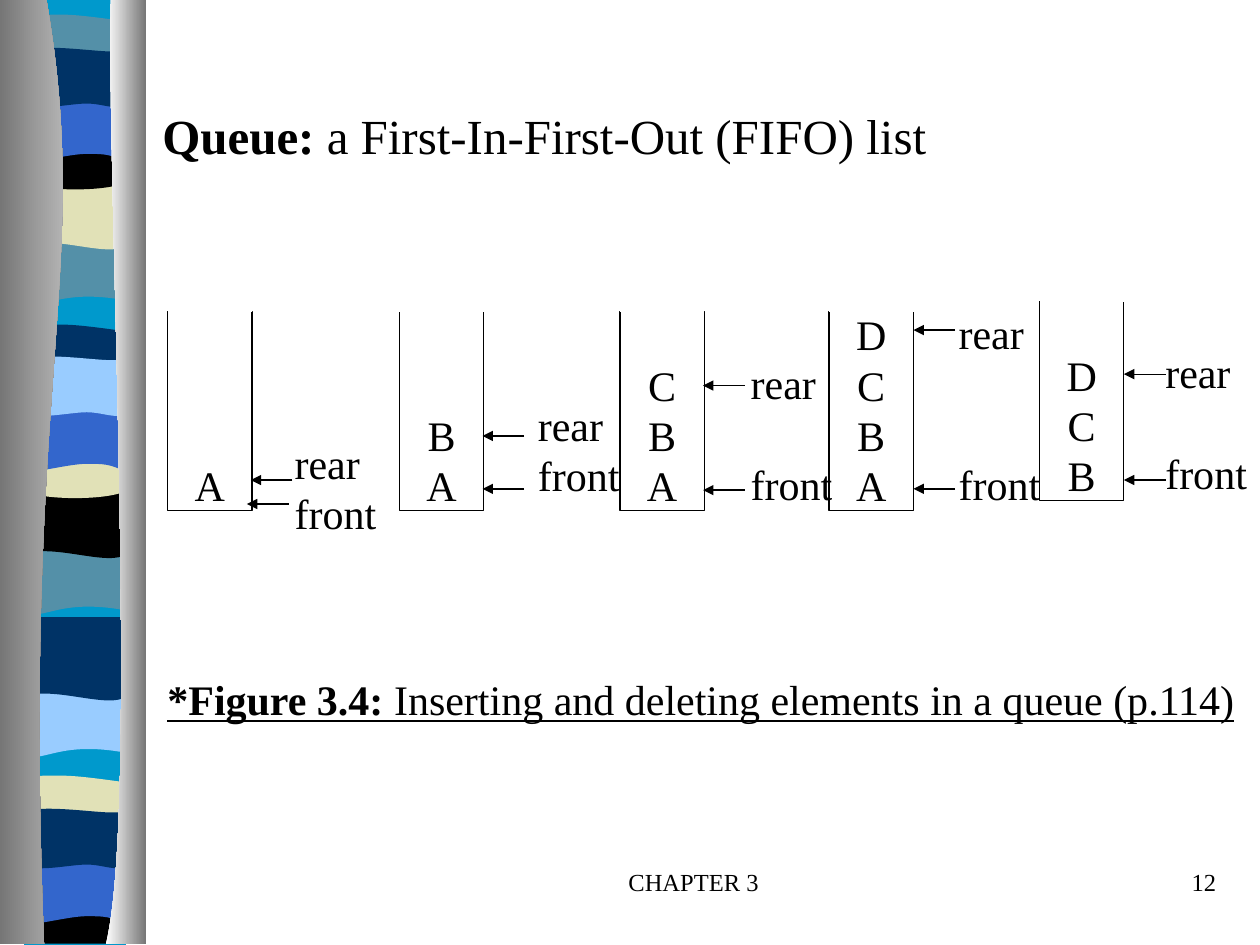
"""Build the slide on a first-in-first-out queue, with a striped ribbon at its left."""
from typing import NamedTuple

from lxml.etree import SubElement
from pptx import Presentation
from pptx.dml.color import RGBColor
from pptx.enum.shapes import MSO_CONNECTOR, MSO_SHAPE
from pptx.enum.text import MSO_ANCHOR, PP_ALIGN
from pptx.oxml.ns import qn
from pptx.util import Emu, Pt

PX = 9144
FONT = "Times New Roman"
LINE_RATIO = 1.2
BAND_STRETCH = 4 / 3
BOX_WIDTH, BOX_HEIGHT, ARROW_LENGTH = 67, 158, 33
PAGE_WIDTH, PAGE_HEIGHT = 1000, 750

BLACK = RGBColor(0x00, 0x00, 0x00)
WHITE = RGBColor(0xFF, 0xFF, 0xFF)
GRAY = RGBColor(0x76, 0x76, 0x76)
SILVER = RGBColor(0xD2, 0xD2, 0xD2)
CYAN = RGBColor(0x00, 0x99, 0xCC)
TEAL = RGBColor(0x54, 0x90, 0xA8)
CREAM = RGBColor(0xE1, 0xE1, 0xB7)
BLUE = RGBColor(0x33, 0x66, 0xCC)
NAVY = RGBColor(0x00, 0x33, 0x66)
SKY = RGBColor(0x99, 0xCC, 0xFF)

Outline = tuple[tuple[int, ...], ...]

BACKDROP: Outline = ((100, 0), (100, 750), (19, 750), (19, 0))
SWELL: Outline = ((114, 0), (114, 47), (39, 39, 24, 55, 5, 47), (5, 0))
DIP: Outline = ((114, 0), (114, 47), (96, 55, 39, 41, 6, 47), (6, 0))
CREST: Outline = ((114, 0), (114, 24), (96, 29, 24, 29, 5, 24), (5, 0),
                  (12, -5, 29, -4, 47, -4), (65, -4, 100, -1, 114, 0))
BOWL: Outline = ((114, 0), (114, 32), (96, 38, 24, 38, 5, 32), (5, 0),
                 (72, 5, 91, 0, 114, 0))
FOOT: Outline = ((114, 0), (114, 37), (5, 37), (5, 0), (72, 5, 91, 0, 114, 0))
ARCH: Outline = ((114, 0), (114, 47), (97, 42, 90, 42, 72, 42),
                 (54, 42, 22, 47, 5, 47), (5, 0))
SWAY: Outline = ((114, 0), (114, 31), (107, 36, 90, 31, 72, 31),
                 (54, 31, 17, 36, 5, 31), (5, 0), (21, -5, 79, 0, 97, 0))
LEFT_EDGE: Outline = ((37, 0), (74, 216, 17, 296, 35, 749), (0, 749), (0, 0))
RIGHT_EDGE: Outline = ((88, 0), (84, 125, 111, 646, 84, 749), (116, 749), (116, 0))


class Band(NamedTuple):
    outline: Outline
    top: int
    color: RGBColor


class Stage(NamedTuple):
    left: int
    top: int
    letters: str
    label_left: int
    label_top: int
    gap_lines: int
    arrow_tips: tuple[tuple[int, int], tuple[int, int]]


class Span(NamedTuple):
    text: str
    bold: bool = False
    underline: bool = False


BANDS = (
    Band(SWELL, 185, TEAL), Band(DIP, 141, CREAM), Band(CREST, 21, TEAL),
    Band(BOWL, 108, BLACK), Band(ARCH, 74, BLUE), Band(SWAY, 46, NAVY),
    Band(SWELL, 431, TEAL), Band(DIP, 386, BLACK), Band(CREST, 267, NAVY),
    Band(BOWL, 353, CREAM), Band(ARCH, 320, BLUE), Band(SWAY, 291, SKY),
    Band(SWELL, 544, SKY), Band(DIP, 499, NAVY), Band(CREST, 625, CREAM),
    Band(FOOT, 712, BLACK), Band(ARCH, 679, BLUE), Band(SWAY, 650, NAVY),
)

STAGES = (
    Stage(133, 247, "A", 224, 342, 0, ((199, 381), (196, 400))),
    Stage(317, 247, "BA", 417, 312, 0, ((383, 346), (383, 388))),
    Stage(492, 247, "CBA", 586, 279, 1, ((558, 306), (558, 389))),
    Stage(658, 247, "DCBA", 751, 239, 2, ((725, 262), (725, 388))),
    Stage(825, 239, "DCB", 915, 270, 1, ((892, 297), (892, 381))),
)


def px(value: float) -> Emu:
    """Turn a length in px into EMU."""
    return Emu(round(value * PX))


def draw_outline(page, outline: Outline, top: int, *colors: RGBColor):
    """Draw a closed outline in one color, or in two as a left-to-right gradient."""
    points = [(px(segment[i]), px(segment[i + 1] + top))
              for segment in outline for i in range(0, len(segment), 2)]
    builder = page.shapes.build_freeform(*points[0], scale=1.0)
    builder.add_line_segments(points[1:], close=True)
    shape = builder.convert_to_shape()
    straight = shape._element.iter(qn("a:lnTo"))
    steps = iter(list(straight))
    for segment in outline[1:]:
        step = next(steps)
        if len(segment) == 6:
            step.tag = qn("a:cubicBezTo")
            for extra in (next(steps), next(steps)):
                step.append(extra[0])
                extra.getparent().remove(extra)
    shape.shadow.inherit = False
    shape.line.fill.background()
    if len(colors) == 1:
        shape.fill.solid()
        shape.fill.fore_color.rgb = colors[0]
    else:
        shape.fill.gradient()
        shape.fill.gradient_angle = 0
        for stop, color in zip(shape.fill.gradient_stops, colors):
            stop.color.rgb = color
    return shape


def draw_band(page, band: Band) -> None:
    """Draw a band, made taller and narrower about its middle."""
    shape = draw_outline(page, band.outline, band.top, band.color)
    if band.outline is FOOT:
        return
    width, height = round(shape.width / BAND_STRETCH), round(shape.height * BAND_STRETCH)
    shape.left += (shape.width - width) // 2
    shape.top += (shape.height - height) // 2
    shape.width, shape.height = width, height


def format_paragraph(paragraph, size: int, align: PP_ALIGN) -> None:
    """Set the font, line height and alignment of a paragraph."""
    paragraph.alignment = align
    paragraph.line_spacing = Pt(size * LINE_RATIO)
    for run in paragraph.runs:
        run.font.name = FONT
        run.font.size = Pt(size)
        run.font.color.rgb = BLACK


def draw_text(page, left: int, top: int, width: int, height: int, spans: list[Span],
              size: int, align: PP_ALIGN = PP_ALIGN.LEFT) -> None:
    """Draw one line of text made of spans."""
    frame = page.shapes.add_textbox(px(left), px(top), px(width), px(height)).text_frame
    frame.word_wrap = True
    paragraph = frame.paragraphs[0]
    for span in spans:
        run = paragraph.add_run()
        run.text = span.text
        run.font.bold = span.bold
        run.font.underline = span.underline
    format_paragraph(paragraph, size, align)


def draw_line(page, start: tuple[int, int], end: tuple[int, int], color: RGBColor,
              arrow: bool = False) -> None:
    """Draw a thin straight line, with an arrowhead at its end if asked."""
    line = page.shapes.add_connector(MSO_CONNECTOR.STRAIGHT, *map(px, start + end))
    line.line.color.rgb = color
    line.line.width = Pt(0.75)
    if arrow:
        SubElement(line.line._get_or_add_ln(), qn("a:tailEnd"), type="triangle")
    SubElement(line._element.spPr, qn("a:effectLst"))


def draw_queue(page, stage: Stage) -> None:
    """Draw the box of a queue with its letters resting on the bottom."""
    box = page.shapes.add_shape(MSO_SHAPE.RECTANGLE, px(stage.left), px(stage.top),
                                px(BOX_WIDTH), px(BOX_HEIGHT))
    box.shadow.inherit = False
    box.fill.solid()
    box.fill.fore_color.rgb = WHITE
    box.line.color.rgb = BLACK
    box.line.width = Pt(0.75)
    frame = box.text_frame
    frame.word_wrap = False
    frame.vertical_anchor = MSO_ANCHOR.BOTTOM
    frame.margin_top = frame.margin_bottom = 0
    frame.text = "\n".join(stage.letters)
    for paragraph in frame.paragraphs:
        format_paragraph(paragraph, 24, PP_ALIGN.CENTER)


def draw_labels(page, stage: Stage) -> None:
    """Draw the rear and front labels beside a queue."""
    height = 10 + 40 * (2 + stage.gap_lines)
    frame = page.shapes.add_textbox(px(stage.label_left), px(stage.label_top),
                                    px(85), px(height)).text_frame
    frame.word_wrap = False
    frame.text = "rear\nfront"
    for paragraph in frame.paragraphs:
        format_paragraph(paragraph, 24, PP_ALIGN.LEFT)
    frame.paragraphs[1].space_before = Pt(24 * LINE_RATIO * stage.gap_lines)


def main() -> None:
    """Build and save the deck."""
    deck = Presentation()
    deck.slide_width, deck.slide_height = px(PAGE_WIDTH), px(PAGE_HEIGHT)
    page = deck.slides.add_slide(deck.slide_layouts[6])
    draw_outline(page, BACKDROP, 0, CYAN)
    for band in BANDS:
        draw_band(page, band)
    draw_outline(page, LEFT_EDGE, 0, GRAY, SILVER)
    draw_outline(page, RIGHT_EDGE, 0, WHITE, GRAY)

    draw_text(page, 392, 683, 317, 50, [Span("CHAPTER 3")], 14, PP_ALIGN.CENTER)
    draw_text(page, 767, 683, 208, 50, [Span("12")], 14, PP_ALIGN.RIGHT)
    for stage in STAGES:
        draw_queue(page, stage)
    for stage in STAGES:
        for x, y in stage.arrow_tips:
            draw_line(page, (x + ARROW_LENGTH, y), (x, y), BLACK, arrow=True)
        draw_labels(page, stage)
        draw_line(page, (stage.left, stage.top), (stage.left + BOX_WIDTH, stage.top), WHITE)
    draw_text(page, 123, 530, 875, 50, [
        Span("*Figure 3.4: ", bold=True, underline=True),
        Span("Inserting and deleting elements in a queue (p.114)", underline=True)], 24)
    draw_text(page, 119, 79, 628, 57, [
        Span("Queue:", bold=True), Span(" a First-In-First-Out (FIFO) list")], 28)
    deck.save("out.pptx")


if __name__ == "__main__":
    main()
